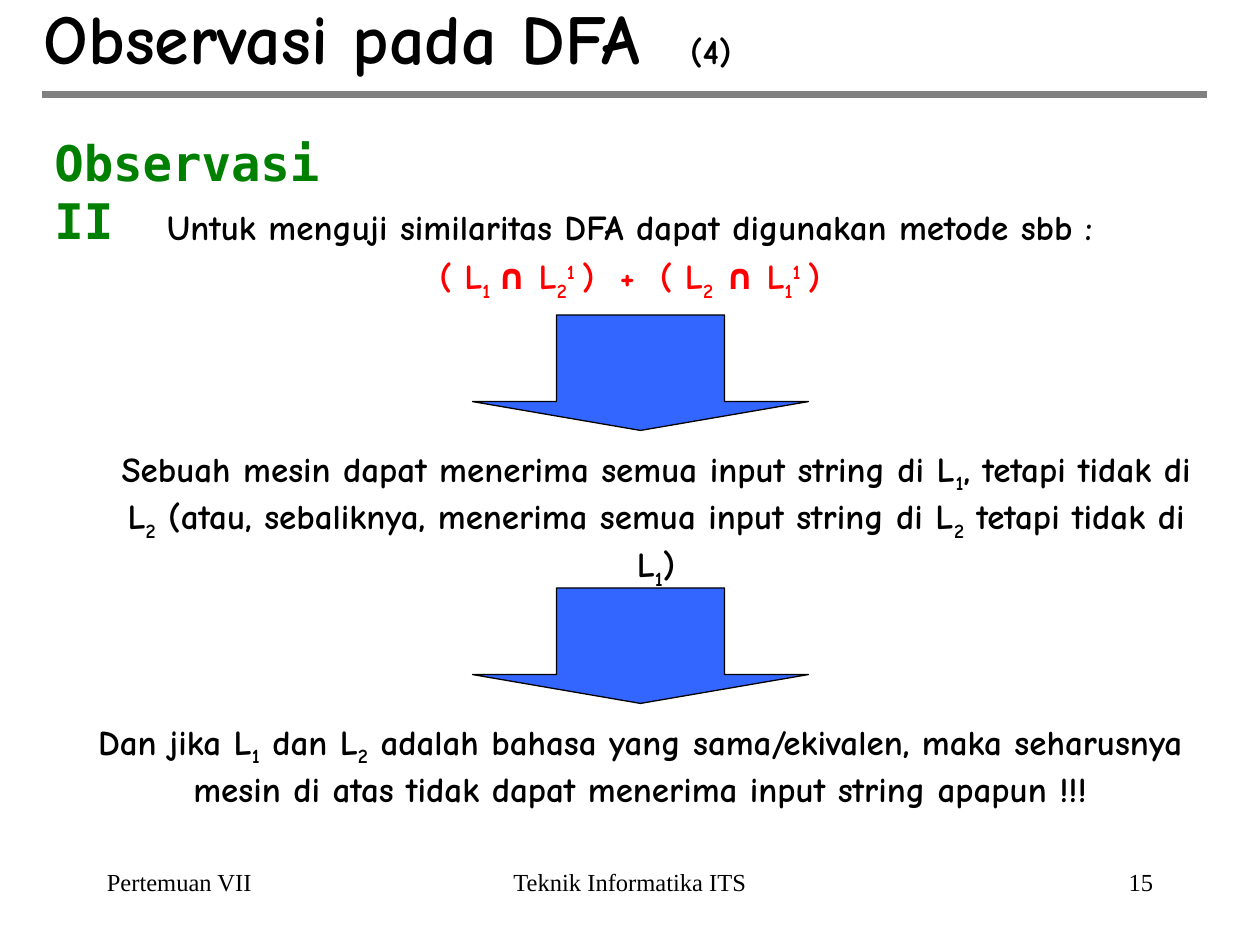
from pptx import Presentation
from pptx.dml.color import RGBColor as RGB
from pptx.enum.shapes import MSO_CONNECTOR as Conn, MSO_SHAPE as Shape
from pptx.enum.text import MSO_ANCHOR as Anchor, PP_ALIGN as Align
from pptx.oxml.ns import qn
from pptx.util import Pt

COLORS = {"black": "000000", "red": "FF0000", "green": "008000",
          "blue": "3366FF", "gray": "808080"}
COMIC, MONO, SERIF = "Comic Neue", "DejaVu Sans Mono", "Times New Roman"
BASE = {"_": "-25000", "^": "30000"}


def tint(name):
    return RGB.from_string(COLORS[name])


def write(par, parts, size, font=COMIC, color="black", bold=True):
    """Add one run per part; a leading _ lowers the run and ^ raises it."""
    for part in parts:
        run = par.add_run()
        run.text = part.lstrip("_^")
        run.font.size = Pt(size)
        run.font.name = font
        run.font.bold = bold
        run.font.color.rgb = tint(color)
        if part[0] in BASE:
            run._r.get_or_add_rPr().set("baseline", BASE[part[0]])


deck = Presentation()
deck.slide_width, deck.slide_height = Pt(720), Pt(540)
slide = deck.slides.add_slide(deck.slide_layouts[6])
shapes = slide.shapes

# Footer
for left, width, align, text in [
    (54, 150, Align.LEFT, "Pertemuan VII"),
    (246, 228, Align.CENTER, "Teknik Informatika ITS"),
    (516, 150, Align.RIGHT, "15"),
]:
    frame = shapes.add_textbox(Pt(left), Pt(492), Pt(width), Pt(36)).text_frame
    frame.word_wrap = True
    par = frame.paragraphs[0]
    par.alignment = align
    write(par, [text], 14, SERIF, bold=False)

# Title and rule
frame = shapes.add_textbox(Pt(18), Pt(0), Pt(522), Pt(42)).text_frame
frame.word_wrap = True
frame.vertical_anchor = Anchor.MIDDLE
write(frame.paragraphs[0], ["Observasi pada DFA  "], 40)
write(frame.paragraphs[0], ["(4)"], 20)

rule = shapes.add_connector(Conn.STRAIGHT, Pt(24), Pt(54), Pt(690), Pt(54))
rule.line.color.rgb = tint("gray")
rule.line.width = Pt(4.5)
props = rule._element.spPr
props.append(props.makeelement(qn("a:effectLst"), {}))

# Centred statements: box, then paragraphs of colour and parts
for box, pars in [
    ((18, 114, 684, 60), [
        ("black", ["Untuk menguji similaritas DFA dapat digunakan metode sbb :"]),
        ("red", ["( L", "_1 ", "∩ L", "_2", "^1 ", ")  +  ( L", "_2",
                 " ∩ L", "_1", "^1 ", ")"]),
    ]),
    ((54, 252, 642, 78), [
        ("black", ["Sebuah mesin dapat menerima semua input string di L", "_1",
                   ", tetapi tidak di L", "_2",
                   " (atau, sebaliknya, menerima semua input string di L", "_2",
                   " tetapi tidak di L", "_1", ")"]),
    ]),
    ((36, 408, 660, 78), [
        ("black", ["Dan jika L", "_1", " dan L", "_2",
                   " adalah bahasa yang sama/ekivalen, maka seharusnya mesin di "
                   "atas tidak dapat menerima input string apapun !!!"]),
    ]),
]:
    frame = shapes.add_textbox(*map(Pt, box)).text_frame
    frame.word_wrap = True
    for i, (color, parts) in enumerate(pars):
        par = frame.add_paragraph() if i else frame.paragraphs[0]
        par.alignment = Align.CENTER
        par.space_before = Pt(4)
        write(par, parts, 20, color=color)

# Arrows between the statements
for top in (180, 336):
    arrow = shapes.add_shape(Shape.DOWN_ARROW, Pt(270), Pt(top), Pt(192), Pt(66))
    arrow.adjustments[0], arrow.adjustments[1] = 0.5, 0.25
    arrow.shadow.inherit = False
    arrow.fill.solid()
    arrow.fill.fore_color.rgb = tint("blue")
    arrow.line.color.rgb = tint("black")
    arrow.line.width = Pt(0.75)

# Heading
frame = shapes.add_textbox(Pt(24), Pt(72), Pt(174), Pt(36)).text_frame
frame.word_wrap = True
par = frame.paragraphs[0]
par.space_before = Pt(5.6)
write(par, ["Observasi II"], 28, MONO, "green")

deck.save("out.pptx")
